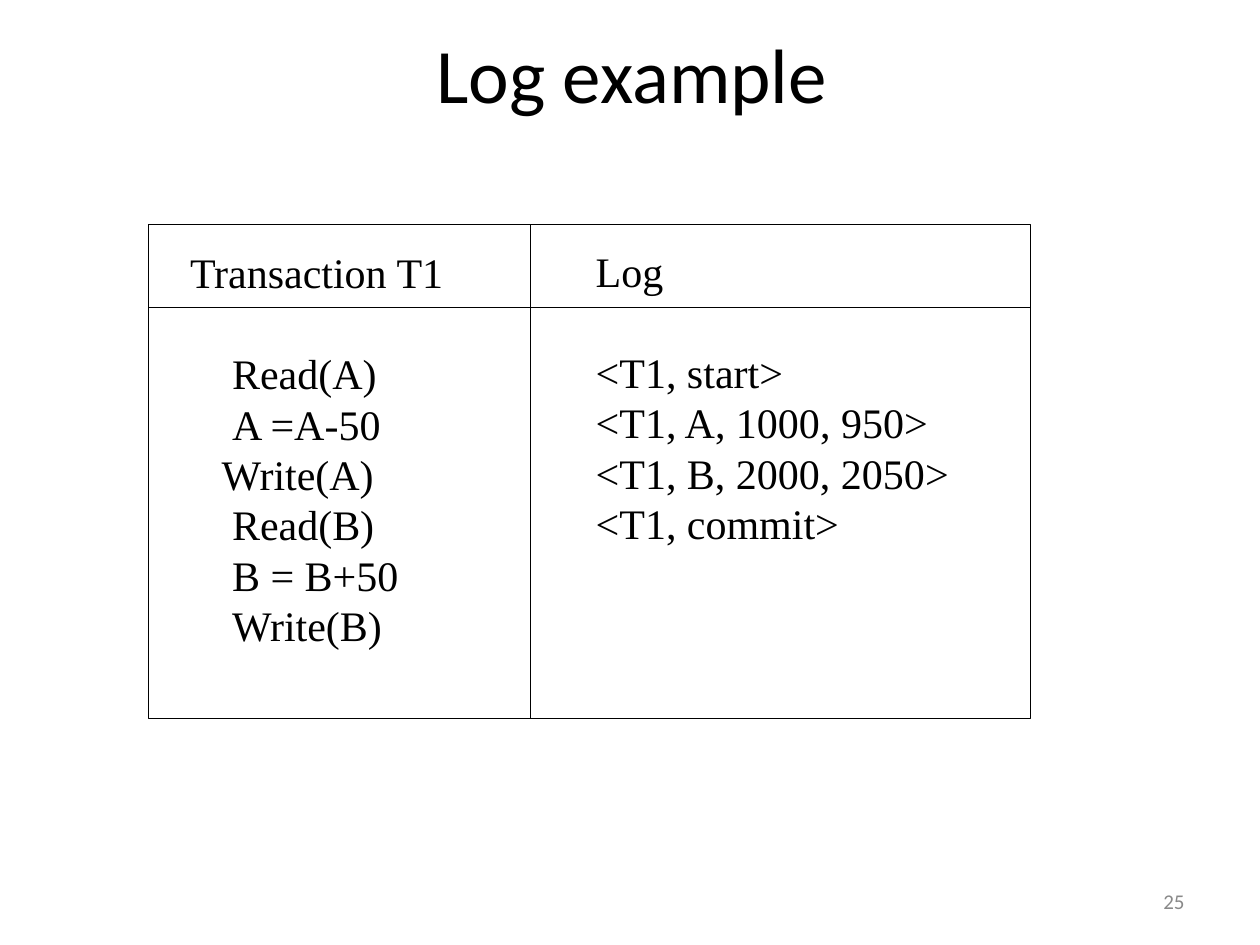
from pptx import Presentation
from pptx.dml.color import RGBColor
from pptx.enum.shapes import MSO_CONNECTOR, MSO_SHAPE
from pptx.enum.text import MSO_ANCHOR, MSO_AUTO_SIZE, PP_ALIGN
from pptx.oxml.ns import qn
from pptx.util import Inches, Pt
from lxml.etree import SubElement

COLORS = {"ink": "000000", "number": "898989"}
LINE_PITCH = Pt(28.8)
SPACE_WIDTH = Pt(6)
TRANSACTION_STEPS = [
    ("Read(A)", 4),
    ("A =A-50", 4),
    ("Write(A)", 3),
    ("Read(B)", 4),
    ("B = B+50", 4),
    ("Write(B)", 4),
]
LOG_RECORDS = [
    ("<T1, start>", 0),
    ("<T1, A, 1000, 950>", 0),
    ("<T1, B, 2000, 2050>", 0),
    ("<T1, commit>", 0),
]


def color(name):
    """Return the named colour."""
    return RGBColor.from_string(COLORS[name])


def style(para, font_name, size, color_name):
    """Format every run of a paragraph."""
    for span in para.runs:
        span.font.name = font_name
        span.font.size = Pt(size)
        span.font.color.rgb = color(color_name)


def add_title(page, left, top, width, height):
    """Place and format the slide title."""
    title = page.shapes.title
    title.left, title.top, title.width, title.height = left, top, width, height
    frame = title.text_frame
    frame.text = "Log example"
    frame.vertical_anchor = MSO_ANCHOR.MIDDLE
    frame.paragraphs[0].alignment = PP_ALIGN.CENTER
    style(frame.paragraphs[0], "Calibri", 44, "ink")


def add_column(page, left, top, width, height, heading, entries):
    """Write a heading and, one line below it, its indented entries."""
    frame = page.shapes.add_textbox(left, top, width, height).text_frame
    frame.word_wrap = False
    frame.auto_size = MSO_AUTO_SIZE.SHAPE_TO_FIT_TEXT
    frame.text = "\n".join([heading] + [text for text, _ in entries])
    indents = [0] + [spaces for _, spaces in entries]
    for para, spaces in zip(frame.paragraphs, indents):
        para.line_spacing = LINE_PITCH
        para._p.get_or_add_pPr().set("marL", str(spaces * SPACE_WIDTH))
        style(para, "Times New Roman", 24, "ink")
    frame.paragraphs[1].space_before = LINE_PITCH


def add_rule(page, x1, y1, x2, y2):
    """Draw a thin straight rule."""
    rule = page.shapes.add_connector(MSO_CONNECTOR.STRAIGHT, x1, y1, x2, y2)
    rule.line.color.rgb = color("ink")
    rule.line.width = Pt(0.75)
    SubElement(rule._element.spPr, qn("a:effectLst"))


def add_log_grid(page, left, top, width, height):
    """Draw the framed two-column comparison of transaction and log."""
    divider = left + Inches(3.03)
    header_bottom = top + Inches(0.66)
    add_column(page, left + Inches(0.23), top + Inches(0.13), Inches(2.22),
               Inches(3.3), "Transaction T1", TRANSACTION_STEPS)
    add_column(page, left + Inches(3.45), top + Inches(0.12), Inches(3),
               Inches(2.5), "Log", LOG_RECORDS)
    border = page.shapes.add_shape(MSO_SHAPE.RECTANGLE, left, top, width, height)
    border.shadow.inherit = False
    border.fill.background()
    border.line.color.rgb = color("ink")
    border.line.width = Pt(0.75)
    add_rule(page, divider, top, divider, top + height)
    add_rule(page, left, header_bottom, left + width, header_bottom)


def add_page_number(page, left, top, width, height):
    """Write the page number."""
    frame = page.shapes.add_textbox(left, top, width, height).text_frame
    frame.word_wrap = True
    frame.vertical_anchor = MSO_ANCHOR.MIDDLE
    frame.text = "25"
    frame.paragraphs[0].alignment = PP_ALIGN.RIGHT
    style(frame.paragraphs[0], "Calibri", 12, "number")


def main():
    """Build and save the deck."""
    deck = Presentation()
    deck.slide_width, deck.slide_height = Inches(10), Inches(7.5)
    page = deck.slides.add_slide(deck.slide_layouts[5])
    add_title(page, Inches(0.6), Inches(0.24), Inches(8.83), Inches(0.67))
    add_log_grid(page, Inches(1.18), Inches(1.78), Inches(7), Inches(3.92))
    add_page_number(page, Inches(7.17), Inches(6.95), Inches(2.33), Inches(0.4))
    deck.save("out.pptx")


if __name__ == "__main__":
    main()
